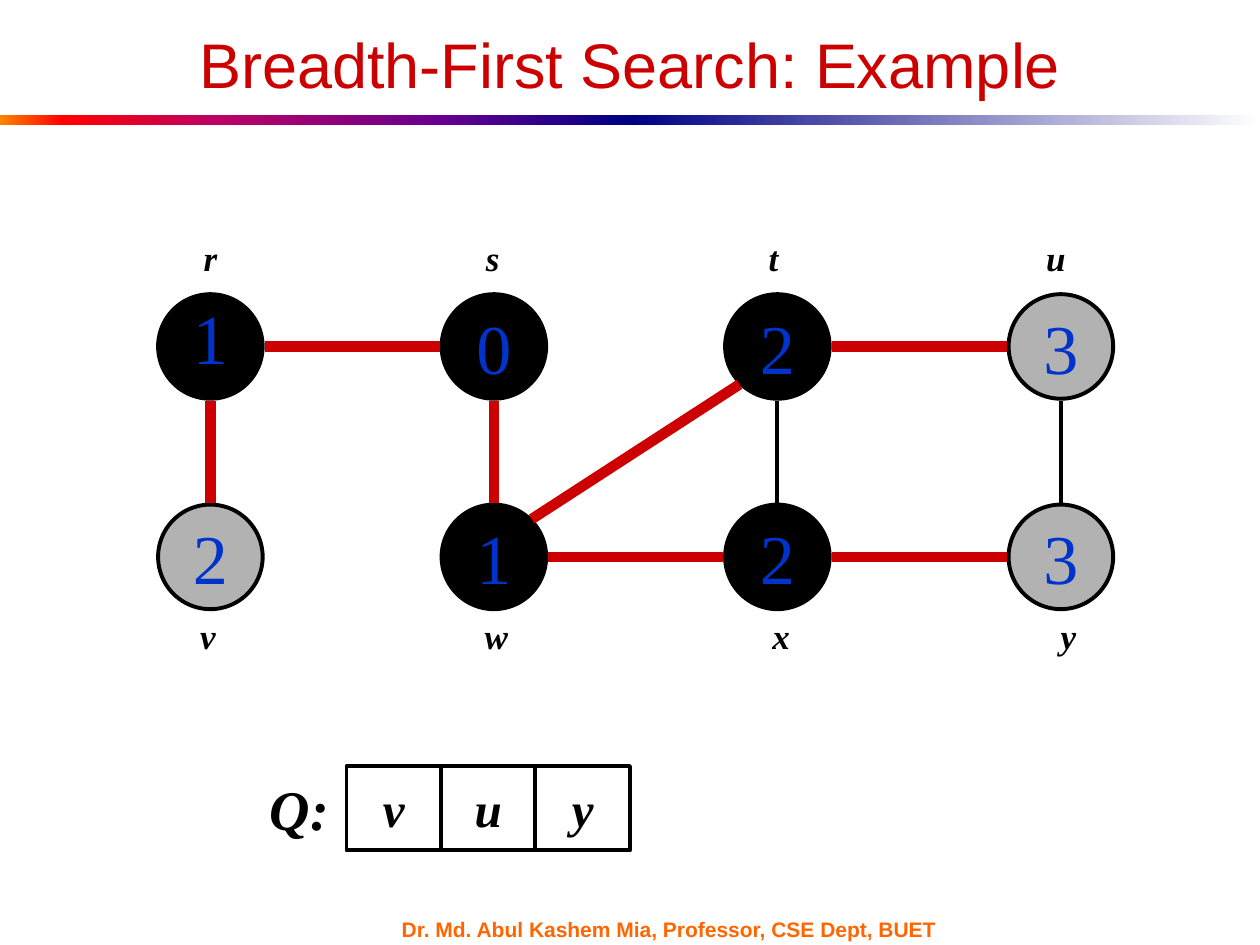
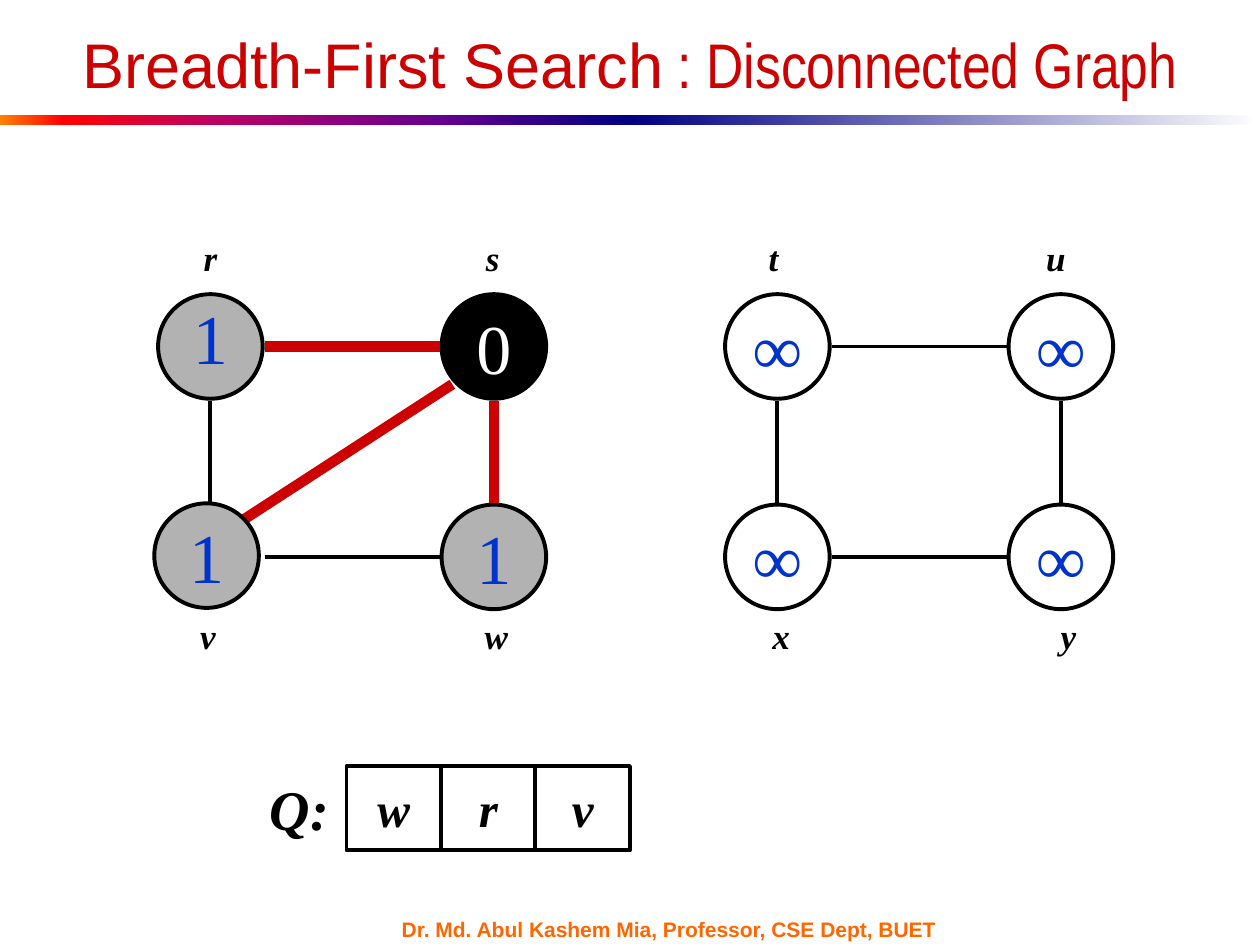
from lxml.etree import SubElement
from pptx import Presentation
from pptx.dml.color import RGBColor
from pptx.enum.shapes import MSO_CONNECTOR as Connector, MSO_SHAPE as Shape
from pptx.enum.text import MSO_ANCHOR as Anchor, PP_ALIGN as Align
from pptx.oxml.ns import qn
from pptx.util import Inches, Pt

WIDTH, HEIGHT = 10, 7.5
BLACK = RGBColor(0x00, 0x00, 0x00)
WHITE = RGBColor(0xFF, 0xFF, 0xFF)
GRAY = RGBColor(0xB2, 0xB2, 0xB2)
RED = RGBColor(0xCC, 0x00, 0x00)
BLUE = RGBColor(0x00, 0x33, 0xCC)
ORANGE = RGBColor(0xFF, 0x66, 0x00)
AMBER = RGBColor(0xFF, 0x82, 0x00)
BRIGHT_RED = RGBColor(0xFF, 0x00, 0x00)
MAGENTA = RGBColor(0xBA, 0x00, 0x66)
PURPLE = RGBColor(0x66, 0x00, 0x8F)
NAVY = RGBColor(0x00, 0x00, 0x82)

BAND_HALVES = [
    [(0, AMBER), (10, BRIGHT_RED), (35, MAGENTA), (70, PURPLE), (100, NAVY)],
    [(0, NAVY), (100, WHITE)],
]
FOOTER = "Dr. Md. Abul Kashem Mia, Professor, CSE Dept, BUET"

SERIF = "Times New Roman"
TITLE_FONT = {"name": "Arial", "size": Pt(36)}
FOOTER_FONT = {"name": "Arial", "size": Pt(12), "bold": True}
DISTANCE_FONT = {"name": SERIF, "size": Pt(40)}
LETTER_FONT = {"name": SERIF, "bold": True, "italic": True}

VERTEX_ROWS = ("rstu", "vwxy")
NODE = 0.83
FIRST_CENTRE = (1.67, 2.75)
COLUMN_STEP, ROW_STEP = 2.25, 1.67
STRAIGHT_GAP, DIAGONAL_GAP = 0.43, 0.3
LABEL_TOPS = (1.83, 4.83)
LABEL_WIDTH, LABEL_HEIGHT = 0.4, 0.43
LABEL_NUDGE = dict(r=0, s=-0.01, t=-0.03, u=-0.04, v=-0.02, w=0.02, x=0.03, y=0.06)
LINE = 2.25
TREE_LINE = 6
CELL_WIDTH, CELL_HEIGHT = 0.75, 0.67
QUEUE_LEFT, QUEUE_TOP = 2, 6.08


def inches(*lengths):
    return [Inches(length) for length in lengths]


def set_format(target, values):
    for attribute, value in values.items():
        setattr(target, attribute, value)


def write(holder, runs, colour, align=Align.CENTER, wrap=False, anchor=Anchor.MIDDLE, spacing=None):
    frame = holder.text_frame
    set_format(frame, {"word_wrap": wrap, "vertical_anchor": anchor})
    paragraph = frame.paragraphs[0]
    set_format(paragraph, {"alignment": align, "line_spacing": spacing})
    for words, font in runs:
        run = paragraph.add_run()
        run.text = words
        set_format(run.font, font)
        run.font.color.rgb = colour


def add_text(slide, box, runs, colour, **layout):
    write(slide.shapes.add_textbox(*inches(*box)), runs, colour, **layout)


def add_outlined(slide, kind, box, fill=None):
    outlined = slide.shapes.add_shape(kind, *inches(*box))
    outlined.shadow.inherit = False
    if fill is None:
        outlined.fill.background()
    else:
        outlined.fill.solid()
        outlined.fill.fore_color.rgb = fill
    outlined.line.color.rgb = BLACK
    outlined.line.width = Pt(LINE)
    return outlined


def add_band(slide):
    half = WIDTH / 2
    for index, colours in enumerate(BAND_HALVES):
        band = slide.shapes.add_shape(Shape.RECTANGLE, *inches(index * half, 0.91, half, 0.08))
        band.shadow.inherit = False
        band.line.fill.background()
        band.fill.gradient()
        band.fill.gradient_angle = 0
        stops = next(band._element.iter(qn("a:gsLst")))
        stops.clear()
        for position, colour in colours:
            stop = SubElement(stops, qn("a:gs"), pos=str(position * 1000))
            SubElement(stop, qn("a:srgbClr"), val=str(colour))


def centre(vertex):
    row = next(i for i, letters in enumerate(VERTEX_ROWS) if vertex in letters)
    column = VERTEX_ROWS[row].index(vertex)
    return FIRST_CENTRE[0] + column * COLUMN_STEP, FIRST_CENTRE[1] + row * ROW_STEP


def add_node(slide, vertex, distance, fill, colour=BLUE, shift=(0, 0)):
    x, y = (c + s - NODE / 2 for c, s in zip(centre(vertex), shift))
    node = add_outlined(slide, Shape.OVAL, (x, y, NODE, NODE), fill)
    write(node, [(distance, DISTANCE_FONT)], colour, spacing=0.7 if vertex == "r" else None)


def add_labels(slide):
    for top, letters in zip(LABEL_TOPS, VERTEX_ROWS):
        for letter in letters:
            left = centre(letter)[0] + LABEL_NUDGE[letter] - LABEL_WIDTH / 2
            add_text(slide, (left, top, LABEL_WIDTH, LABEL_HEIGHT),
                     [(letter, LETTER_FONT | {"size": Pt(20)})], BLACK, anchor=Anchor.TOP)


def add_edge(slide, ends, colour, width, shift=0):
    (x1, y1), (x2, y2) = map(centre, ends)
    gap = DIAGONAL_GAP if x1 != x2 and y1 != y2 else STRAIGHT_GAP
    dx = gap * ((x2 > x1) - (x2 < x1))
    dy = gap * ((y2 > y1) - (y2 < y1))
    edge = slide.shapes.add_connector(
        Connector.STRAIGHT, *inches(x1 + dx + shift, y1 + dy, x2 - dx + shift, y2 - dy))
    edge.line.color.rgb = colour
    edge.line.width = Pt(width)
    SubElement(edge._element.spPr, qn("a:effectLst"))


def add_queue(slide, letters):
    size = (CELL_WIDTH, CELL_HEIGHT)
    add_text(slide, (QUEUE_LEFT, QUEUE_TOP, *size),
             [("Q:", LETTER_FONT | {"size": Pt(32)})], BLACK)
    for place, letter in enumerate(letters, 1):
        cell = add_outlined(slide, Shape.RECTANGLE, (QUEUE_LEFT + place * CELL_WIDTH, QUEUE_TOP, *size))
        write(cell, [(letter, LETTER_FONT | {"size": Pt(28)})], BLACK)


def add_graph_slide(deck, title, nodes, tree_edges, plain_edges, queue, raised=(), edge_shift=None):
    slide = deck.slides.add_slide(deck.slide_layouts[6])
    add_band(slide)
    add_text(slide, (3.09, 7.28, 4.67, 0.18), [(FOOTER, FOOTER_FONT)], ORANGE, align=Align.LEFT)
    add_text(slide, (0.23, 0.25, WIDTH - 0.46, 0.51), title, RED, wrap=True)
    for node in nodes:
        add_node(slide, *node)
    add_labels(slide)
    for ends in plain_edges.split():
        add_edge(slide, ends, BLACK, LINE)
    for ends in tree_edges.split():
        add_edge(slide, ends, RED, TREE_LINE, (edge_shift or {}).get(ends, 0))
    for node in raised:
        add_node(slide, *node)
    add_queue(slide, queue)


def main():
    deck = Presentation()
    deck.slide_width, deck.slide_height = inches(WIDTH, HEIGHT)
    add_graph_slide(
        deck,
        title=[("Breadth-First Search: Example", TITLE_FONT)],
        nodes=[("r", "1", BLACK), ("v", "2", GRAY), ("s", "0", BLACK), ("w", "1", BLACK),
               ("t", "2", BLACK), ("x", "2", BLACK), ("u", "3", GRAY), ("y", "3", GRAY)],
        tree_edges="vr rs sw wt wx tu xy",
        plain_edges="xt yu",
        queue="vuy",
    )
    add_graph_slide(
        deck,
        title=[("Breadth-First Search", TITLE_FONT),
               (" : Disconnected Graph", TITLE_FONT | {"name": "Arial Narrow"})],
        nodes=[("r", "1", GRAY), ("s", "0", BLACK, WHITE), ("w", "1", GRAY),
               *((vertex, "∞", None) for vertex in "txuy")],
        tree_edges="rs sw vs",
        plain_edges="vr vw xt tu xy yu",
        queue="wrv",
        raised=[("v", "1", GRAY, BLUE, (-0.03, -0.01))],
        edge_shift={"vs": -0.03},
    )
    deck.save("out.pptx")


if __name__ == "__main__":
    main()
